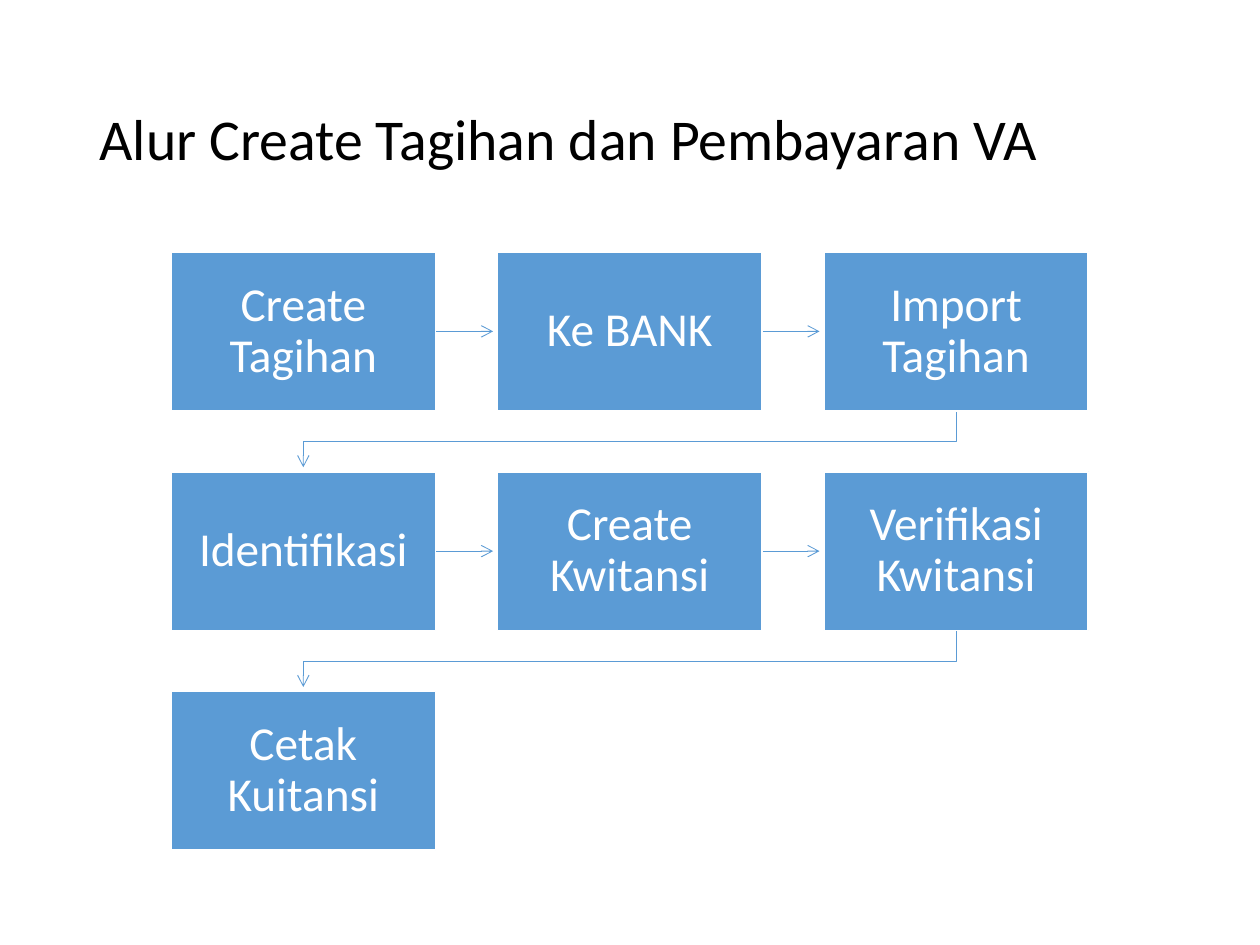
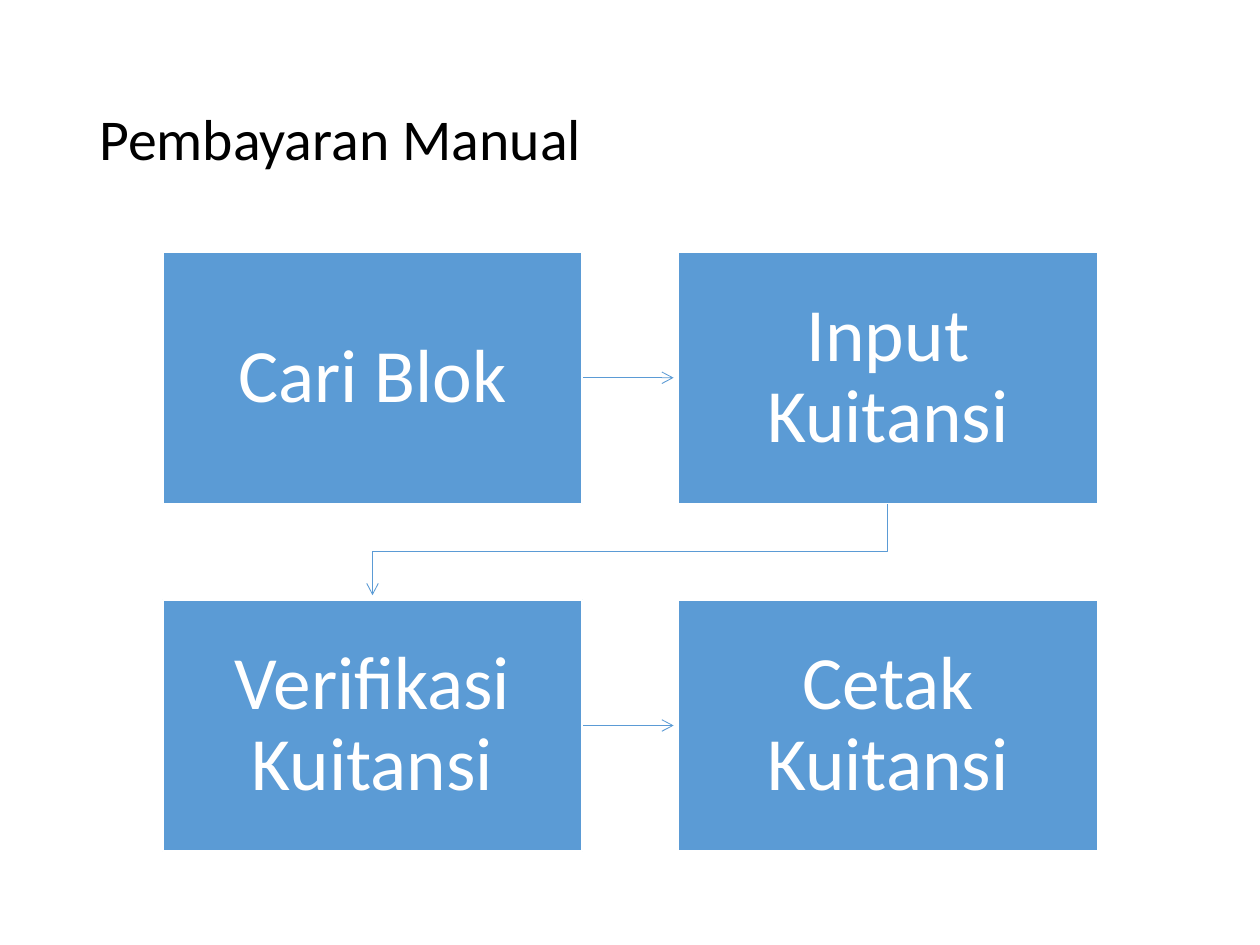
from dataclasses import dataclass

from lxml.etree import SubElement
from pptx import Presentation
from pptx.dml.color import RGBColor
from pptx.enum.shapes import MSO_CONNECTOR as Connector, MSO_SHAPE as Preset
from pptx.enum.text import MSO_ANCHOR as Anchor, MSO_AUTO_SIZE as AutoSize, PP_ALIGN as Align
from pptx.oxml.ns import qn
from pptx.util import Cm, Pt

FLOWS = [
    {
        "title": "Alur Create Tagihan dan Pembayaran VA",
        "steps": ["Create Tagihan", "Ke BANK", "Import Tagihan", "Identifikasi",
                  "Create Kwitansi", "Verifikasi Kwitansi", "Cetak Kuitansi"],
        "columns": 3, "left": 3.45, "box": (5.33, 3.2), "pitch": (6.58, 4.43),
        "inset": 0.53, "size": 27,
    },
    {
        "title": "Pembayaran Manual",
        "steps": ["Cari Blok", "Input Kuitansi", "Verifikasi Kuitansi", "Cetak Kuitansi"],
        "columns": 2, "left": 3.28, "box": (8.46, 5.07), "pitch": (10.39, 7.01),
        "inset": 0.84, "size": 43,
    },
]

TITLE_BOX = {"left": Cm(1.75), "top": Cm(1.02), "width": Cm(21.9), "height": Cm(3.68)}
FLOW_TOP = 5.08
ARROW_GAP = 0.09


@dataclass(frozen=True)
class Theme:
    font: str = "Calibri"
    accent: RGBColor = RGBColor(0x5B, 0x9B, 0xD5)
    white: RGBColor = RGBColor(0xFF, 0xFF, 0xFF)
    black: RGBColor = RGBColor(0, 0, 0)
    title_size: int = 33
    box_line: float = 1
    arrow_line: float = 0.5


THEME = Theme()


def apply(target, values):
    for name, value in values.items():
        setattr(target, name, value)


def write(shape, text, size, color, align, inset=None):
    frame = shape.text_frame
    frame.text = text
    apply(frame, {"word_wrap": True, "auto_size": AutoSize.NONE,
                  "vertical_anchor": Anchor.MIDDLE})
    if inset is not None:
        sides = ("left", "top", "right", "bottom")
        apply(frame, {f"margin_{side}": Cm(inset) for side in sides})
    paragraph = frame.paragraphs[0]
    apply(paragraph, {"alignment": align, "line_spacing": 0.9})
    font = paragraph.runs[0].font
    apply(font, {"name": THEME.font, "size": Pt(size)})
    font.color.rgb = color


def style_line(line, color, width):
    line.color.rgb = color
    line.width = Pt(width)


def add_step(slide, flow, text, left, top):
    width, height = flow["box"]
    shape = slide.shapes.add_shape(Preset.RECTANGLE, Cm(left), Cm(top), Cm(width), Cm(height))
    shape.shadow.inherit = False
    shape.fill.solid()
    shape.fill.fore_color.rgb = THEME.accent
    style_line(shape.line, THEME.white, THEME.box_line)
    write(shape, text, flow["size"], THEME.white, Align.CENTER, flow["inset"])


def add_arrow(slide, points):
    start, *rest = [(Cm(x), Cm(y)) for x, y in points]
    if len(rest) == 1:
        arrow = slide.shapes.add_connector(Connector.STRAIGHT, *start, *rest[0])
        SubElement(arrow.element.spPr, qn("a:effectLst"))
    else:
        builder = slide.shapes.build_freeform(*start)
        builder.add_line_segments(rest, close=False)
        arrow = builder.convert_to_shape()
        arrow.fill.background()
        arrow.shadow.inherit = False
    style_line(arrow.line, THEME.accent, THEME.arrow_line)
    outline = arrow.element.spPr.find(qn("a:ln"))
    SubElement(outline, qn("a:tailEnd"), type="arrow")


def arrow_route(flow, start, end):
    width, height = flow["box"]
    (x1, y1), (x2, y2) = start, end
    if y1 == y2:
        middle = y1 + height / 2
        return [(x1 + width, middle), (x2 - ARROW_GAP, middle)]
    from_x, to_x = x1 + width / 2, x2 + width / 2
    bend = (y1 + height + y2) / 2
    return [(from_x, y1 + height), (from_x, bend), (to_x, bend), (to_x, y2 - ARROW_GAP)]


def add_flow(presentation, flow):
    slide = presentation.slides.add_slide(presentation.slide_layouts[5])
    title = slide.shapes.title
    apply(title, TITLE_BOX)
    write(title, flow["title"], THEME.title_size, THEME.black, Align.LEFT)

    pitch_x, pitch_y = flow["pitch"]
    places = []
    for index in range(len(flow["steps"])):
        row, column = divmod(index, flow["columns"])
        places.append((flow["left"] + column * pitch_x, FLOW_TOP + row * pitch_y))
    for start, end in zip(places, places[1:]):
        add_arrow(slide, arrow_route(flow, start, end))
    for text, place in zip(flow["steps"], places):
        add_step(slide, flow, text, *place)


def main():
    presentation = Presentation()
    apply(presentation, {"slide_width": Cm(25.4), "slide_height": Cm(19.05)})
    for flow in FLOWS:
        add_flow(presentation, flow)
    presentation.save("out.pptx")


if __name__ == "__main__":
    main()
